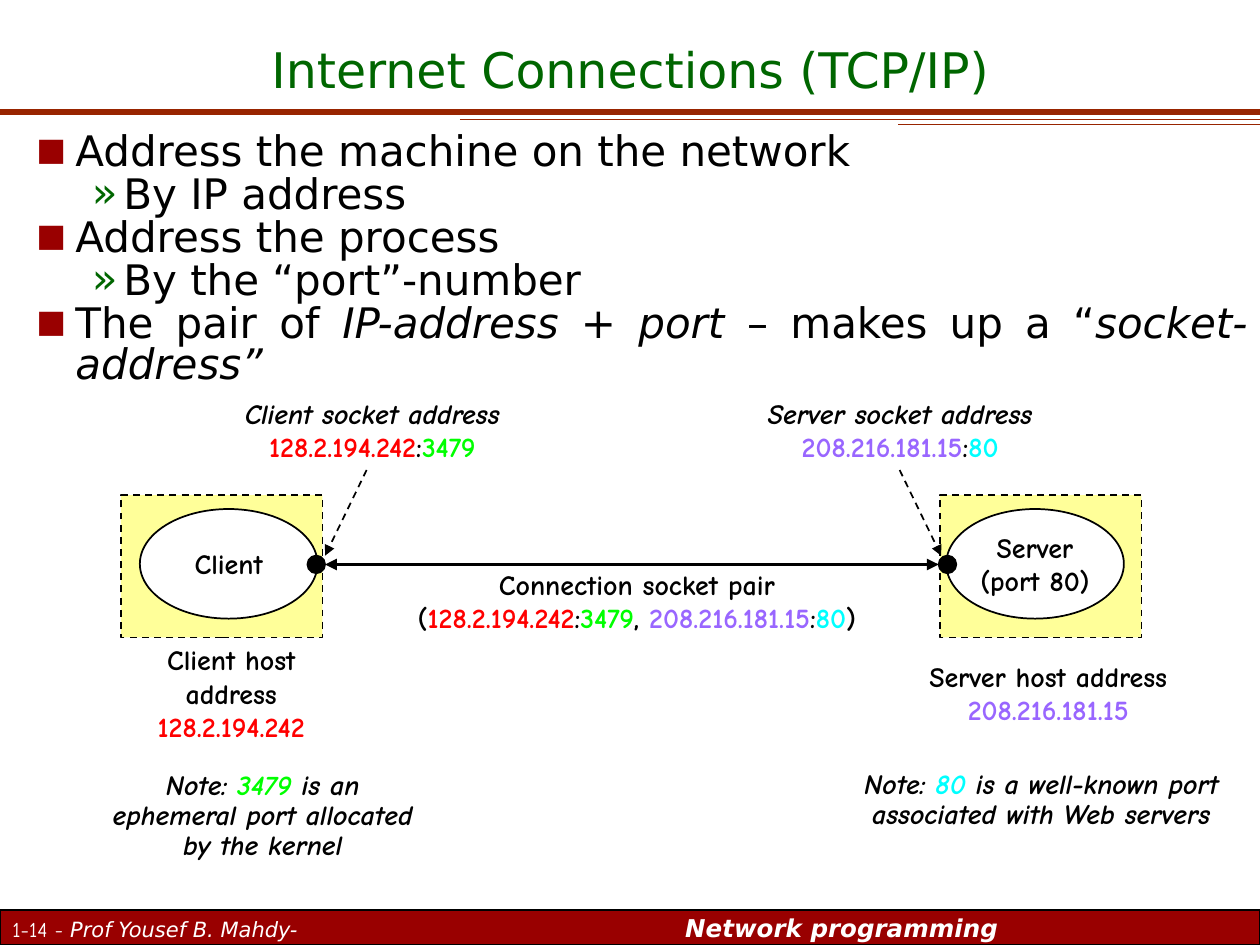
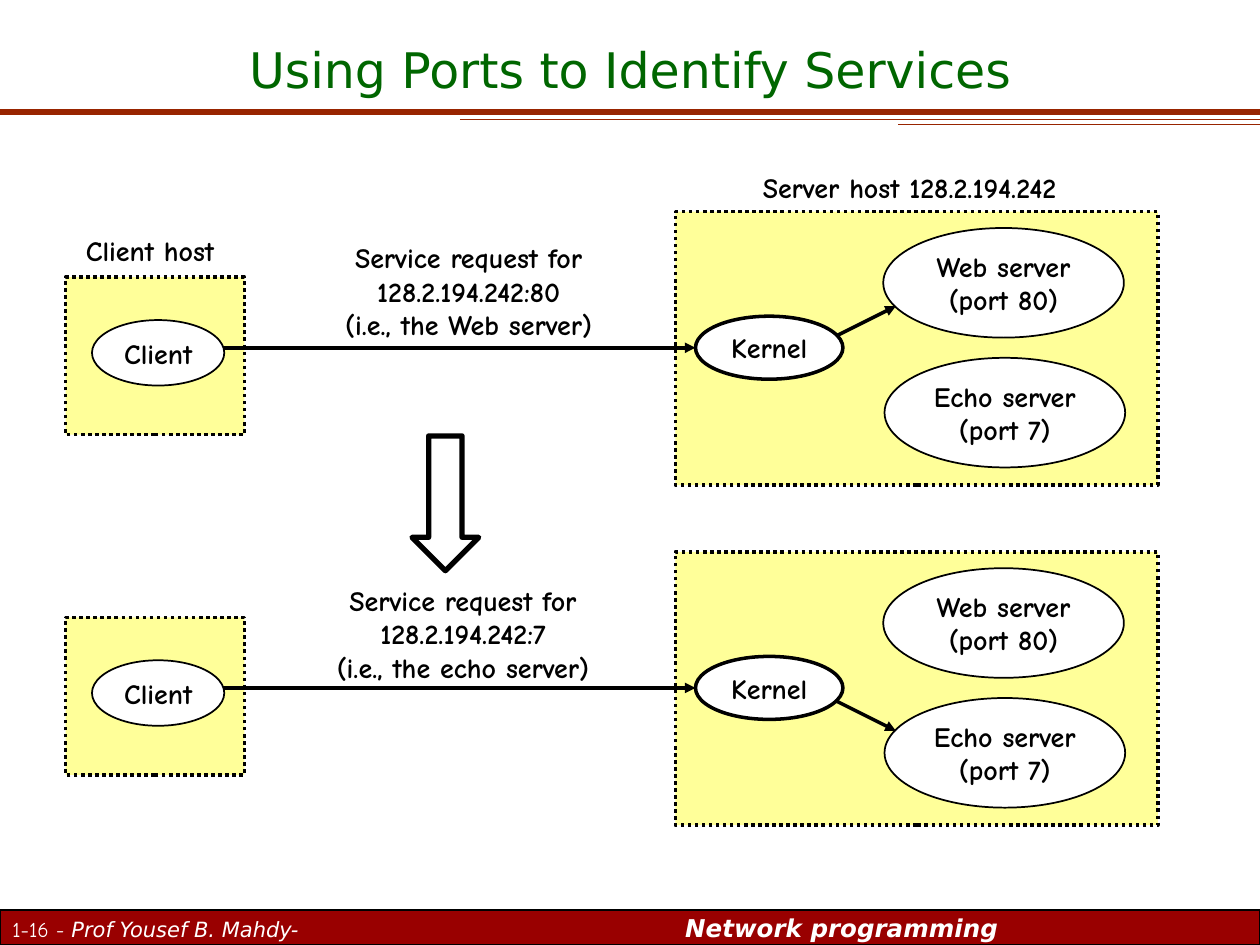
from dataclasses import dataclass

from lxml import etree
from pptx import Presentation
from pptx import util as u
from pptx.dml.color import RGBColor
from pptx.enum import dml, shapes, text
from pptx.oxml import ns


@dataclass(frozen=True)
class Theme:
    title: str = "006600"
    rule: str = "982400"
    band: str = "990000"
    host: str = "FFFF99"
    ink: str = "000000"
    paper: str = "FFFFFF"
    client_ip: str = "FF0000"
    client_port: str = "00FF00"
    server_ip: str = "9966FF"
    server_port: str = "00FFFF"
    sans: str = "DejaVu Sans"
    hand: str = "Comic Neue"
    title_size: int = 28
    body_size: int = 24
    label_size: int = 16
    course_size: int = 14
    footer_size: int = 12


theme = Theme()
DASH = dml.MSO_LINE.DASH
DOTS = dml.MSO_LINE.ROUND_DOT
RECT = shapes.MSO_SHAPE.RECTANGLE
OVAL = shapes.MSO_SHAPE.OVAL
LEFT, CENTER, JUSTIFY = text.PP_ALIGN.LEFT, text.PP_ALIGN.CENTER, text.PP_ALIGN.JUSTIFY
MIDDLE, TOP, BOTTOM = text.MSO_ANCHOR.MIDDLE, text.MSO_ANCHOR.TOP, text.MSO_ANCHOR.BOTTOM

AUTHOR = "Prof Yousef B. Mahdy-"
COURSE = "Network programming"
RULES = [(0, 0.89, 3), (3.65, 0.95, 0.75), (7.13, 0.99, 0.75)]

CLIENT_IP = ("128.2.194.242", {"color": theme.client_ip})
CLIENT_PORT = ("3479", {"color": theme.client_port})
SERVER_IP = ("208.216.181.15", {"color": theme.server_ip})
SERVER_PORT = ("80", {"color": theme.server_port})
CLIENT_SOCKET = [CLIENT_IP, ":", CLIENT_PORT]
SERVER_SOCKET = [SERVER_IP, ":", SERVER_PORT]
ITALIC = {"italic": True}

BULLETS = [
    (0, ["Address the machine on the network"]),
    (1, ["By IP address"]),
    (0, ["Address the process"]),
    (1, ["By the “port”-number"]),
    (0, ["The pair of ", ("IP-address + port ", ITALIC), "– makes up a “",
         ("socket-address”", ITALIC)]),
]
BULLET_STYLES = [
    {"mark": "■", "color": theme.band, "size": 75, "indent": 0.31, "hang": 0.31},
    {"mark": "»", "color": theme.title, "size": 100, "indent": 0.69, "hang": 0.25},
]

ENDPOINTS = [
    {"host": 0.96, "process": 1.11, "socket": 2.44, "pointer": (2.91, 2.58),
     "name": [["Client"]],
     "socket_box": (1.84, 3.09, 2.23, 0.64),
     "socket_label": [[("Client socket address", ITALIC)], CLIENT_SOCKET],
     "host_box": (0.86, 5.18, 1.95, 0.64),
     "host_label": [["Client host address"], [CLIENT_IP]],
     "note_box": (0.79, 6.07, 2.59, 0.82),
     "note": [["Note: ", CLIENT_PORT, " is an"], ["ephemeral port allocated"],
              ["by the kernel"]]},
    {"host": 7.46, "process": 7.51, "socket": 7.45, "pointer": (7.14, 7.47),
     "name": [["Server"], ["(port 80)"]],
     "socket_box": (5.73, 3.09, 2.83, 0.64),
     "socket_label": [[("Server socket address", ITALIC)], SERVER_SOCKET],
     "host_box": (7.27, 5.18, 2.1, 0.64),
     "host_label": [["Server host address"], [SERVER_IP]],
     "note_box": (6.76, 6.06, 3.01, 0.58),
     "note": [["Note: ", SERVER_PORT, " is a well-known port"],
              ["associated with Web servers"]]},
]
SOCKET_PAIR = [["Connection socket pair"],
               ["(", *CLIENT_SOCKET, ", ", *SERVER_SOCKET, ")"]]

SERVICES = [
    (7.01, 1.81, [["Web server"], ["(port 80)"]]),
    (7.02, 2.84, [["Echo server"], ["(port 7)"]]),
]
REQUESTS = [
    {"box": (2.27, 1.86, 2.9, 0.9), "dispatch": (2.68, 2.43),
     "label": [["Service request for"], ["128.2.194.242:80"], ["(i.e., the Web server)"]]},
    {"box": (2.57, 4.58, 2.21, 0.9), "dispatch": (2.85, 3.1),
     "label": [["Service request for"], ["128.2.194.242:7"], ["(i.e., the echo server)"]]},
]
REQUEST_STEP = 2.7
HOST_LABELS = [((0.58, 1.8, 1.22, 0.37), [["Client host"]]),
               ((5.95, 1.3, 2.54, 0.37), [["Server host 128.2.194.242"]])]


def inches(values):
    return [u.Inches(value) for value in values]


def add_xml(parent, tag, **attributes):
    return etree.SubElement(parent, ns.qn(tag), attributes)


def style_font(font, name=None, size=None, color=None, bold=None, italic=None):
    if name:
        font.name = name
    if size:
        font.size = u.Pt(size)
    if color:
        font.color.rgb = RGBColor.from_string(color)
    if bold is not None:
        font.bold = bold
    if italic is not None:
        font.italic = italic


def add_spans(para, pieces):
    for piece in pieces:
        words, style = (piece, {}) if isinstance(piece, str) else piece
        span = para.add_run()
        span.text = words
        style_font(span.font, **style)


def prepare_frame(box, anchor, wrap, inset=(0.1, 0.05)):
    frame = box.text_frame
    frame.word_wrap = wrap
    frame.vertical_anchor = anchor
    frame.margin_left = frame.margin_right = u.Inches(inset[0])
    frame.margin_top = frame.margin_bottom = u.Inches(inset[1])
    return frame


def each_para(frame, lines):
    for number, line in enumerate(lines):
        yield (frame.add_paragraph() if number else frame.paragraphs[0]), line


def write_label(box, lines, italic=False, spacing=None, inset=(0.1, 0.05)):
    frame = prepare_frame(box, MIDDLE, False, inset)
    for para, pieces in each_para(frame, lines):
        para.alignment = CENTER
        if spacing:
            para.line_spacing = spacing
        style_font(para.font, theme.hand, theme.label_size, theme.ink, True, italic)
        add_spans(para, pieces)


def add_label(page, place, lines, **options):
    write_label(page.shapes.add_textbox(*inches(place)), lines, **options)


def style_line(line, color, width, dash=None):
    line.color.rgb = RGBColor.from_string(color)
    line.width = u.Pt(width)
    if dash:
        line.dash_style = dash


def add_figure(page, kind, place, fill=None, width=1, dash=None, lines=None):
    figure = page.shapes.add_shape(kind, *inches(place))
    figure.shadow.inherit = False
    if fill:
        figure.fill.solid()
        figure.fill.fore_color.rgb = RGBColor.from_string(fill)
    else:
        figure.fill.background()
    style_line(figure.line, theme.ink, width, dash)
    if lines:
        write_label(figure, lines, inset=(0, 0))
    return figure


def add_line(page, start, end, color, width, dash=None, ends=()):
    line = page.shapes.add_connector(shapes.MSO_CONNECTOR.STRAIGHT, *inches(start + end))
    style_line(line.line, color, width, dash)
    outline = line.line._get_or_add_ln()
    for tag in ends:
        add_xml(outline, tag, type="triangle")
    add_xml(line._element.spPr, "a:effectLst")


def add_arrow(page, start, end, width=2, dash=None, ends=("a:tailEnd",)):
    add_line(page, start, end, theme.ink, width, dash, ends)


def add_page(deck, title, number):
    page = deck.slides.add_slide(deck.slide_layouts[6])
    for left, top, width in RULES:
        add_line(page, (left, top), (10, top), theme.rule, width)

    band = add_figure(page, RECT, (0, 7.22, 10, 0.28), theme.band)
    para = prepare_frame(band, MIDDLE, True).paragraphs[0]
    para.alignment = LEFT
    tabs = add_xml(para._p.get_or_add_pPr(), "a:tabLst")
    add_xml(tabs, "a:tab", pos=str(u.Inches(5.34)), algn="l")
    style_font(para.font, theme.hand, theme.footer_size, theme.paper)
    add_spans(para, [
        number, (" - ", ITALIC),
        (AUTHOR + "\t", {"name": theme.sans, "italic": True}),
        (COURSE, {"name": theme.sans, "size": theme.course_size,
                  "bold": True, "italic": True}),
    ])

    heading = page.shapes.add_textbox(*inches((0, 0.25, 10, 0.58)))
    para = prepare_frame(heading, BOTTOM, True).paragraphs[0]
    para.alignment = CENTER
    style_font(para.font, theme.sans, theme.title_size, theme.title)
    add_spans(para, [title])
    return page


def add_bullets(page, place):
    frame = prepare_frame(page.shapes.add_textbox(*inches(place)), TOP, True)
    for number, (para, (level, pieces)) in enumerate(each_para(frame, BULLETS)):
        style = BULLET_STYLES[level]
        properties = para._p.get_or_add_pPr()
        properties.set("marL", str(u.Inches(style["indent"])))
        properties.set("indent", str(-u.Inches(style["hang"])))
        add_xml(add_xml(properties, "a:buClr"), "a:srgbClr", val=style["color"])
        add_xml(properties, "a:buSzPct", val=str(style["size"] * 1000))
        add_xml(properties, "a:buFont", typeface=theme.sans)
        add_xml(properties, "a:buChar", char=style["mark"])
        para.level = level
        para.alignment = JUSTIFY
        para.line_spacing = 0.8
        if number:
            para.space_before = u.Pt(1.5)
        style_font(para.font, theme.sans, theme.body_size, theme.ink)
        add_spans(para, pieces)


def build_connections(deck):
    page = add_page(deck, "Internet Connections (TCP/IP)", "1-14")
    add_bullets(page, (0.19, 1.02, 9.81, 2.46))
    for end in ENDPOINTS:
        add_figure(page, RECT, (end["host"], 3.93, 1.6, 1.13), theme.host, dash=DASH)
        add_figure(page, OVAL, (end["process"], 4.04, 1.41, 0.87), theme.paper,
                   lines=end["name"])
        add_figure(page, OVAL, (end["socket"], 4.41, 0.14, 0.14), theme.ink)
        label_x, socket_x = end["pointer"]
        add_arrow(page, (label_x, 3.73), (socket_x, 4.41), 1, DASH)
        add_label(page, end["socket_box"], end["socket_label"])
        add_label(page, end["host_box"], end["host_label"])
        add_label(page, end["note_box"], end["note"], italic=True, spacing=0.9)
    add_arrow(page, (2.58, 4.48), (7.45, 4.48), 2.25, ends=("a:headEnd", "a:tailEnd"))
    add_label(page, (3.21, 4.45, 3.69, 0.64), SOCKET_PAIR)


def build_services(deck):
    page = add_page(deck, "Using Ports to Identify Services", "1-16")
    for place, lines in HOST_LABELS:
        add_label(page, place, lines)
    for row, request in enumerate(REQUESTS):
        shift = row * REQUEST_STEP
        add_figure(page, RECT, (0.52, 2.2 + shift, 1.42, 1.25), theme.host, 2, DOTS)
        add_figure(page, RECT, (5.36, 1.68 + shift, 3.83, 2.17), theme.host, 2, DOTS)
        for left, top, lines in SERVICES:
            add_figure(page, OVAL, (left, top + shift, 1.91, 0.87), theme.paper, lines=lines)
        add_label(page, request["box"], request["label"])
        add_arrow(page, (1.77, 2.76 + shift), (5.52, 2.76 + shift))
        start, end = request["dispatch"]
        add_arrow(page, (6.61, start + shift), (7.11, end + shift))
        add_figure(page, OVAL, (5.52, 2.51 + shift, 1.17, 0.5), theme.paper, 2,
                   lines=[["Kernel"]])
        add_figure(page, OVAL, (0.73, 2.54 + shift, 1.05, 0.52), theme.paper,
                   lines=[["Client"]])
    add_figure(page, shapes.MSO_SHAPE.DOWN_ARROW, (3.27, 3.46, 0.53, 1.07), width=3)


def main():
    deck = Presentation()
    deck.slide_width, deck.slide_height = inches((10, 7.5))
    build_connections(deck)
    build_services(deck)
    deck.save("out.pptx")


if __name__ == "__main__":
    main()
